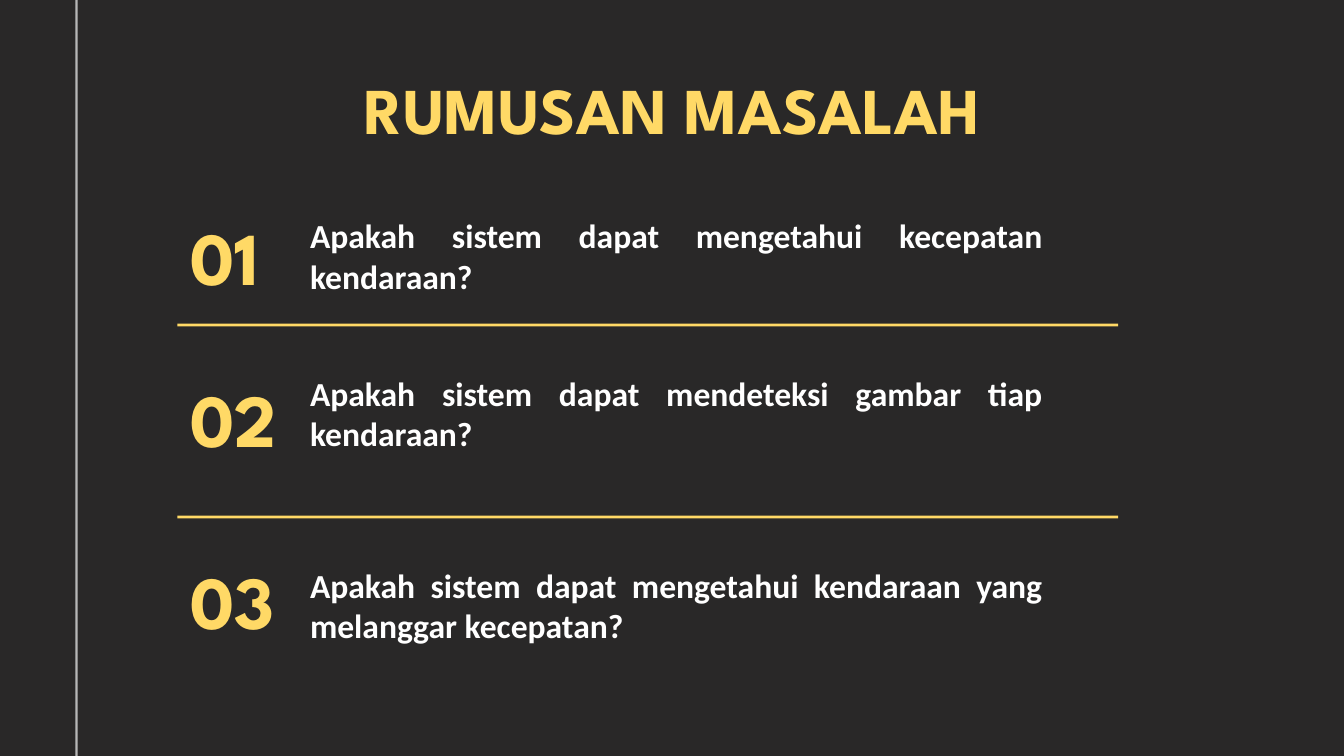
from dataclasses import dataclass

from pptx import Presentation
from pptx.dml.color import RGBColor
from pptx.enum.shapes import MSO_SHAPE
from pptx.enum.text import MSO_ANCHOR, MSO_AUTO_SIZE, PP_ALIGN
from pptx.util import Pt


@dataclass(frozen=True)
class Theme:
    background: str = "292828"
    accent: str = "FFD966"
    text: str = "FFFFFF"
    margin_line: str = "B7B7B7"
    heading_font: str = "League Spartan"
    body_font: str = "Calibri"
    title_size: float = 35
    number_size: float = 40
    question_size: float = 18
    inset: float = 7.2


THEME = Theme()
TITLE = "RUMUSAN MASALAH"
# Number top, question top, question
QUESTIONS = [
    (113.8, 115.9, "Apakah sistem dapat mengetahui kecepatan kendaraan?"),
    (200.2, 200.2, "Apakah sistem dapat mendeteksi gambar tiap kendaraan?"),
    (298.1, 303.1, "Apakah sistem dapat mengetahui kendaraan yang melanggar kecepatan?"),
]
DIVIDER_TOPS = [173.4, 276.3]


def write(shape, text, font, size, color, align):
    frame = shape.text_frame
    frame.text = text
    frame.word_wrap = True
    frame.auto_size = MSO_AUTO_SIZE.NONE
    frame.vertical_anchor = MSO_ANCHOR.MIDDLE
    frame.margin_left = frame.margin_right = Pt(THEME.inset)
    frame.margin_top = frame.margin_bottom = Pt(THEME.inset)
    para = frame.paragraphs[0]
    para.alignment = align
    span = para.runs[0]
    span.font.name = font
    span.font.size = Pt(size)
    span.font.bold = True
    span.font.color.rgb = RGBColor.from_string(color)


def add_bar(page, left, top, width, height, color):
    bar = page.shapes.add_shape(
        MSO_SHAPE.RECTANGLE, Pt(left), Pt(top), Pt(width), Pt(height))
    bar.shadow.inherit = False
    bar.fill.solid()
    bar.fill.fore_color.rgb = RGBColor.from_string(color)
    bar.line.fill.background()


def place_title(page, left, top, width, height):
    title = page.shapes.title
    title.left, title.top = Pt(left), Pt(top)
    title.width, title.height = Pt(width), Pt(height)
    write(title, TITLE, THEME.heading_font, THEME.title_size, THEME.accent,
          PP_ALIGN.CENTER)


def add_questions(page, left, width):
    """Numbered questions with dividers that span the full width."""
    number_width, question_width = 64, 406.8
    for index, (number_top, question_top, question) in enumerate(QUESTIONS, 1):
        number_box = page.shapes.add_textbox(
            Pt(left), Pt(number_top), Pt(number_width), Pt(46.8))
        write(number_box, f"{index:02}", THEME.heading_font, THEME.number_size,
              THEME.accent, PP_ALIGN.LEFT)
        question_box = page.shapes.add_textbox(
            Pt(left + number_width), Pt(question_top), Pt(question_width), Pt(41.8))
        write(question_box, question, THEME.body_font, THEME.question_size,
              THEME.text, PP_ALIGN.JUSTIFY)
    for top in DIVIDER_TOPS:
        add_bar(page, left, top, width, 1.5, THEME.accent)


def main():
    deck = Presentation()
    deck.slide_width, deck.slide_height = Pt(720), Pt(405)
    page = deck.slides.add_slide(deck.slide_layouts.get_by_name("Title Only"))
    page.background.fill.solid()
    page.background.fill.fore_color.rgb = RGBColor.from_string(THEME.background)
    add_bar(page, 40.4, 0, 1.2, 405, THEME.margin_line)
    place_title(page, 56.9, 35.3, 607, 45.4)
    add_questions(page, 95, 504)
    deck.save("out.pptx")


if __name__ == "__main__":
    main()
